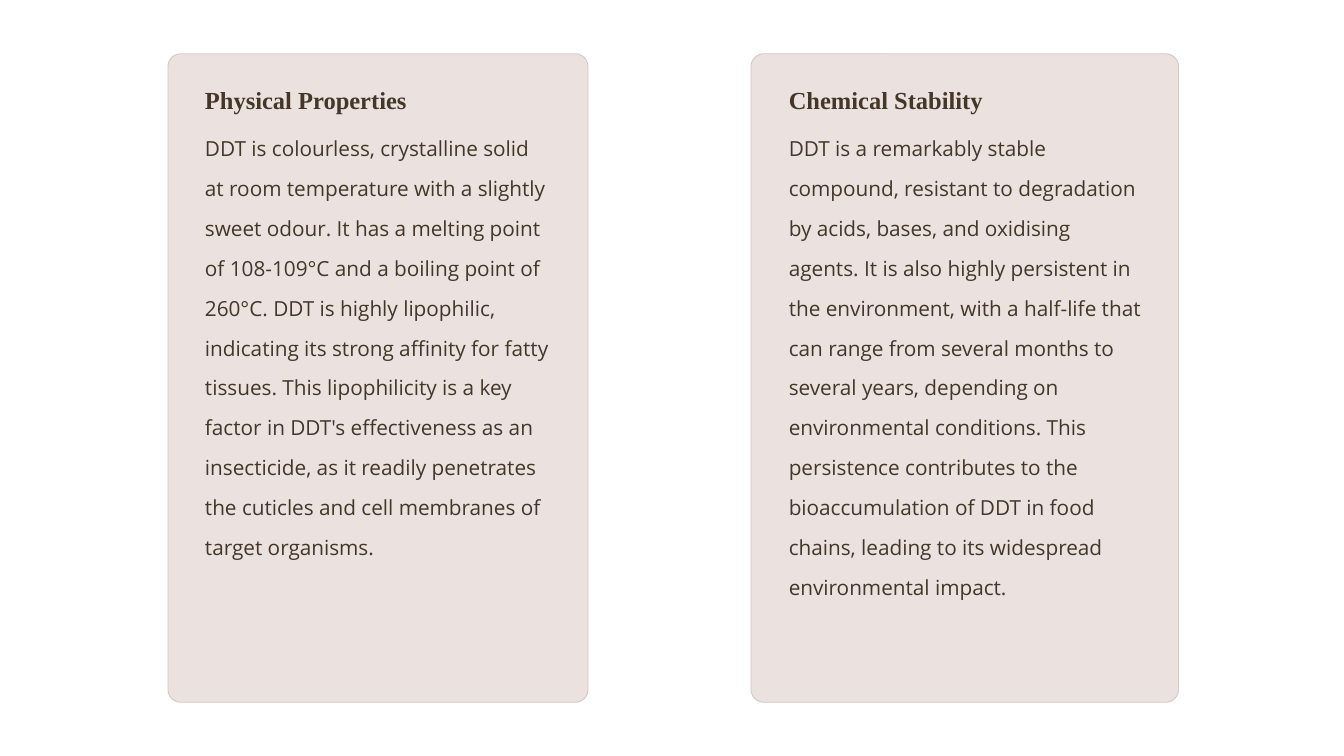
"""Build a slide with two cards on the physical and chemical properties of DDT."""
from typing import NamedTuple

from lxml import etree
from pptx import Presentation
from pptx.dml.color import RGBColor
from pptx.enum.shapes import MSO_SHAPE
from pptx.enum.text import MSO_ANCHOR, MSO_AUTO_SIZE, PP_ALIGN
from pptx.oxml.ns import qn
from pptx.shapes.placeholder import SlidePlaceholder
from pptx.slide import Slide
from pptx.util import Pt

ROUNDED = MSO_SHAPE.ROUNDED_RECTANGLE
TOP = MSO_ANCHOR.TOP
NO_FIT = MSO_AUTO_SIZE.NONE
LEFT = PP_ALIGN.LEFT

WHITE = RGBColor(0xFF, 0xFF, 0xFF)
CARD_FILL = RGBColor(0xEB, 0xE2, 0xE0)
CARD_LINE = RGBColor(0xD1, 0xC8, 0xC6)
INK = RGBColor(0x44, 0x37, 0x28)

CARD_TOP, CARD_HEIGHT = 46.08, 555.84
HEADING_TOP, HEADING_HEIGHT = 63.36, 25.92
BODY_TOP = 100.08
COMPARISON_LAYOUT = 4


class Style(NamedTuple):
    font: str
    size: float
    bold: bool
    spacing: float


class Card(NamedTuple):
    left: float
    width: float
    text_left: float
    heading_width: float
    body_width: float
    body_height: float
    heading_idx: int
    body_idx: int
    heading: str
    body: str


HEADING = Style("Times New Roman", 21, True, 1.25)
BODY = Style("Open Sans", 17.8, False, 1.6)

CARDS = [
    Card(144, 360, 168.48, 296.64, 311.04, 484.56, 1, 2, "Physical Properties",
         "DDT is colourless, crystalline solid at room temperature with a "
         "slightly sweet odour. It has a melting point of 108-109°C and a "
         "boiling point of 260°C. DDT is highly lipophilic, indicating its "
         "strong affinity for fatty tissues. This lipophilicity is a key "
         "factor in DDT's effectiveness as an insecticide, as it readily "
         "penetrates the cuticles and cell membranes of target organisms."),
    Card(643.68, 366.48, 668.88, 301.68, 316.8, 430.56, 3, 4, "Chemical Stability",
         "DDT is a remarkably stable compound, resistant to degradation by "
         "acids, bases, and oxidising agents. It is also highly persistent in "
         "the environment, with a half-life that can range from several months "
         "to several years, depending on environmental conditions. This "
         "persistence contributes to the bioaccumulation of DDT in food "
         "chains, leading to its widespread environmental impact."),
]


def fill_placeholder(sp: SlidePlaceholder, left: float, top: float, width: float,
                     height: float, text: str, style: Style) -> None:
    sp.left, sp.top, sp.width, sp.height = Pt(left), Pt(top), Pt(width), Pt(height)
    sp.element.getparent().append(sp.element)
    tf = sp.text_frame
    tf.word_wrap = True
    tf.auto_size = NO_FIT
    tf.vertical_anchor = TOP
    tf.margin_left = tf.margin_right = Pt(7.2)
    tf.margin_top = tf.margin_bottom = Pt(3.6)
    p = tf.paragraphs[0]
    pPr = p._p.get_or_add_pPr()
    pPr.set("marL", "0")
    pPr.set("indent", "0")
    etree.SubElement(pPr, qn("a:buNone"))
    p.alignment = LEFT
    p.line_spacing = style.spacing
    p.space_before = p.space_after = Pt(0)
    r = p.add_run()
    r.text = text
    r.font.name = style.font
    r.font.size = Pt(style.size)
    r.font.bold = style.bold
    r.font.color.rgb = INK


def draw_card(s: Slide, card: Card) -> None:
    sp = s.shapes.add_shape(ROUNDED, Pt(card.left), Pt(CARD_TOP),
                            Pt(card.width), Pt(CARD_HEIGHT))
    sp.adjustments[0] = 0.03
    sp.shadow.inherit = False
    sp.fill.solid()
    sp.fill.fore_color.rgb = CARD_FILL
    sp.line.color.rgb = CARD_LINE
    sp.line.width = Pt(0.75)
    holders = {ph.placeholder_format.idx: ph for ph in s.placeholders}
    fill_placeholder(holders[card.heading_idx], card.text_left, HEADING_TOP,
                     card.heading_width, HEADING_HEIGHT, card.heading, HEADING)
    fill_placeholder(holders[card.body_idx], card.text_left, BODY_TOP,
                     card.body_width, card.body_height, card.body, BODY)


def main() -> None:
    prs = Presentation()
    prs.slide_width, prs.slide_height = Pt(1152), Pt(648)
    s = prs.slides.add_slide(prs.slide_layouts[COMPARISON_LAYOUT])
    s.background.fill.solid()
    s.background.fill.fore_color.rgb = WHITE
    title = s.shapes.title.element
    title.getparent().remove(title)
    for card in CARDS:
        draw_card(s, card)
    prs.save("out.pptx")


if __name__ == "__main__":
    main()
